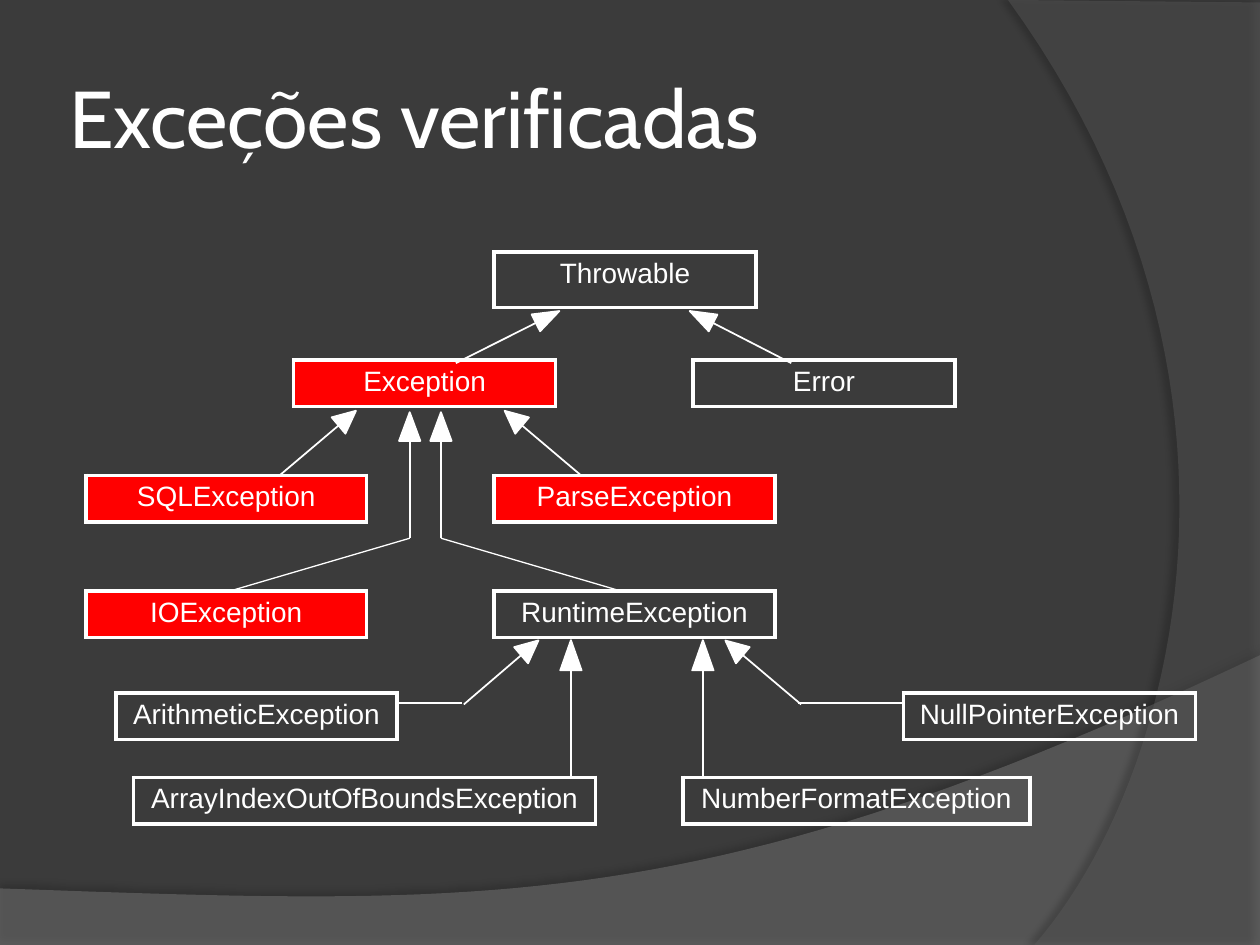
from math import atan2, cos, degrees, sin

from lxml import etree
from pptx import Presentation
from pptx.dml.color import RGBColor
from pptx.enum.shapes import MSO_CONNECTOR, MSO_SHAPE
from pptx.enum.text import MSO_ANCHOR, PP_ALIGN
from pptx.oxml.ns import qn
from pptx.util import Cm, Pt

STRAIGHT = MSO_CONNECTOR.STRAIGHT
TRIANGLE = MSO_SHAPE.ISOSCELES_TRIANGLE
MIDDLE = MSO_ANCHOR.MIDDLE
CENTER = PP_ALIGN.CENTER

DARK = RGBColor(0x3B, 0x3B, 0x3B)
GRAY = RGBColor(0x7F, 0x7F, 0x7F)
SLATE = RGBColor(0x5E, 0x5E, 0x5E)
BLACK = RGBColor(0, 0, 0)
WHITE = RGBColor(0xFF, 0xFF, 0xFF)
RED = RGBColor(0xFF, 0, 0)

WIDE, HIGH = 25.4, 19.05
ROW = 0.94

# Name, left, top, width, height, fill
NODES = [
    ("Throwable", 8.23, 0, 5.28, 1.12, None),
    ("Error", 12.24, 2.18, 5.28, ROW, None),
    ("Exception", 4.19, 2.18, 5.28, ROW, RED),
    ("SQLException", 0, 4.5, 5.66, ROW, RED),
    ("IOException", 0, 6.83, 5.66, ROW, RED),
    ("ParseException", 8.23, 4.5, 5.66, ROW, RED),
    ("RuntimeException", 8.23, 6.83, 5.66, ROW, None),
    ("ArrayIndexOutOfBoundsException", 0.96, 10.59, 9.32, ROW, None),
    ("ArithmeticException", 0.61, 8.89, 5.66, ROW, None),
    ("NumberFormatException", 12.04, 10.59, 6.99, ROW, None),
    ("NullPointerException", 16.48, 8.89, 5.89, ROW, None),
]

# Tail, centre of the head, size of the head
ARROWS = [
    ((7.46, 2.24), (9.31, 1.31), (0.38, 0.53)),
    ((14.22, 2.24), (12.41, 1.31), (0.38, 0.53)),
    ((3.91, 4.5), (5.27, 3.35), (0.43, 0.46)),
    ((9.98, 4.5), (8.62, 3.35), (0.43, 0.46)),
    ((6.53, 5.77), (6.53, 3.52), (0.43, 0.58)),
    ((7.16, 5.77), (7.16, 3.52), (0.43, 0.58)),
    ((7.62, 9.12), (8.95, 7.98), (0.43, 0.46)),
    ((14.42, 9.12), (13.07, 7.98), (0.43, 0.46)),
    ((9.78, 10.59), (9.78, 8.13), (0.43, 0.61)),
    ((12.44, 10.59), (12.44, 8.13), (0.43, 0.61)),
]

LINKS = [
    ((6.53, 5.77), (2.92, 6.83)),
    ((7.16, 5.77), (10.77, 6.83)),
    ((14.35, 9.09), (16.48, 9.09)),
    ((6.32, 9.09), (7.59, 9.09)),
]


def add_tag(parent, tag, **attrs):
    return etree.SubElement(parent, qn(tag), attrs)


def add_run(para, text, font, size):
    run = para.add_run()
    run.text = text
    run.font.name = font
    run.font.size = Pt(size)
    run.font.color.rgb = WHITE


def curve(start, one, two, end, steps=48):
    """Points along a cubic curve, the start included."""
    points = []
    for step in range(steps + 1):
        t = step / steps
        u = 1 - t
        points.append(tuple(
            u**3 * a + 3 * u * u * t * b + 3 * u * t * t * c + t**3 * d
            for a, b, c, d in zip(start, one, two, end)))
    return points


def add_sweep(slide, points, color, alpha, shade, dist, angle):
    """Translucent outline with a soft shadow; alpha and shade in percent."""
    spots = [(Cm(x), Cm(y)) for x, y in points]
    pen = slide.shapes.build_freeform(*spots[0], scale=1.0)
    pen.add_line_segments(spots[1:], close=True)
    shape = pen.convert_to_shape()
    shape.fill.solid()
    shape.fill.fore_color.rgb = color
    shape.line.fill.background()
    shape.shadow.inherit = False
    props = shape._element.spPr
    tint = props.find(qn("a:solidFill")).find(qn("a:srgbClr"))
    add_tag(tint, "a:alpha", val=str(alpha * 1000))
    glow = add_tag(props.find(qn("a:effectLst")), "a:outerShdw",
                   blurRad=str(Pt(4)), dist=str(Pt(dist)),
                   dir=str(angle * 60000), algn="ctr", rotWithShape="0")
    ink = add_tag(glow, "a:srgbClr", val=str(BLACK))
    add_tag(ink, "a:alpha", val=str(shade * 1000))


def add_backdrop(slide, width, height):
    slide.background.fill.solid()
    slide.background.fill.fore_color.rgb = DARK
    wave = curve((width, 13.21), (14.2, 18.52), (9.93, 18.26), (0, 17.91))
    add_sweep(slide, [(0, height), (width, height)] + wave,
              GRAY, 45, 35, 3.5, 270)
    arc = curve((20.85, height), (23.75, 15.72), (25.86, 7.62), (20.32, 0))
    add_sweep(slide, [(width, 0.05), (width, height)] + arc,
              SLATE, 40, 45, 4, 180)


def add_title(slide, left, top, width, height):
    box = slide.shapes.add_textbox(Cm(left), Cm(top), Cm(width), Cm(height))
    frame = box.text_frame
    frame.word_wrap = True
    frame.vertical_anchor = MIDDLE
    frame.margin_left = frame.margin_right = Cm(0.13)
    frame.margin_top = frame.margin_bottom = Cm(0.13)
    add_run(frame.paragraphs[0], "Exceções verificadas", "Cabin", 46)


def add_node(slide, name, left, top, width, height, fill):
    """One class, drawn as a table of a single cell."""
    table = slide.shapes.add_table(
        1, 1, Cm(left), Cm(top), Cm(width), Cm(height)).table
    table.first_row = table.horz_banding = False
    cell = table.cell(0, 0)
    props = cell._tc.get_or_add_tcPr()
    for side in ("a:lnL", "a:lnR", "a:lnT", "a:lnB"):
        edge = add_tag(props, side, w=str(Pt(2.25)))
        add_tag(add_tag(edge, "a:solidFill"), "a:srgbClr", val=str(WHITE))
    if fill is None:
        cell.fill.background()
    else:
        cell.fill.solid()
        cell.fill.fore_color.rgb = fill
    para = cell.text_frame.paragraphs[0]
    para.alignment = CENTER
    add_run(para, name, "Arial", 16)


def add_line(slide, start, end, weight):
    line = slide.shapes.add_connector(
        STRAIGHT, *[Cm(n) for n in (*start, *end)])
    line.line.color.rgb = WHITE
    line.line.width = Pt(weight)
    add_tag(line._element.spPr, "a:effectLst")


def add_arrow(slide, tail, mid, size):
    """Line from the tail to the base of a head centred on mid."""
    x, y = mid
    width, height = size
    turn = atan2(x - tail[0], tail[1] - y)
    head = slide.shapes.add_shape(
        TRIANGLE, Cm(x - width / 2), Cm(y - height / 2), Cm(width), Cm(height))
    head.rotation = degrees(turn)
    head.shadow.inherit = False
    head.fill.solid()
    head.fill.fore_color.rgb = WHITE
    head.line.color.rgb = WHITE
    head.line.width = Pt(1)
    base = (x - sin(turn) * height / 2, y + cos(turn) * height / 2)
    add_line(slide, base, tail, 1)


def add_tree(slide, left, top):
    def move(point):
        return left + point[0], top + point[1]

    for name, x, y, width, height, fill in NODES:
        add_node(slide, name, *move((x, y)), width, height, fill)
    for tail, mid, size in ARROWS:
        add_arrow(slide, move(tail), move(mid), size)
    for start, end in LINKS:
        add_line(slide, move(start), move(end), 0.75)


def main():
    deck = Presentation()
    deck.slide_width, deck.slide_height = Cm(WIDE), Cm(HIGH)
    slide = deck.slides.add_slide(deck.slide_layouts[6])
    add_backdrop(slide, WIDE, HIGH)
    add_tree(slide, 1.73, 5.08)
    add_title(slide, 1.27, 0.76, 20.75, 3.18)
    deck.save("out.pptx")


if __name__ == "__main__":
    main()
